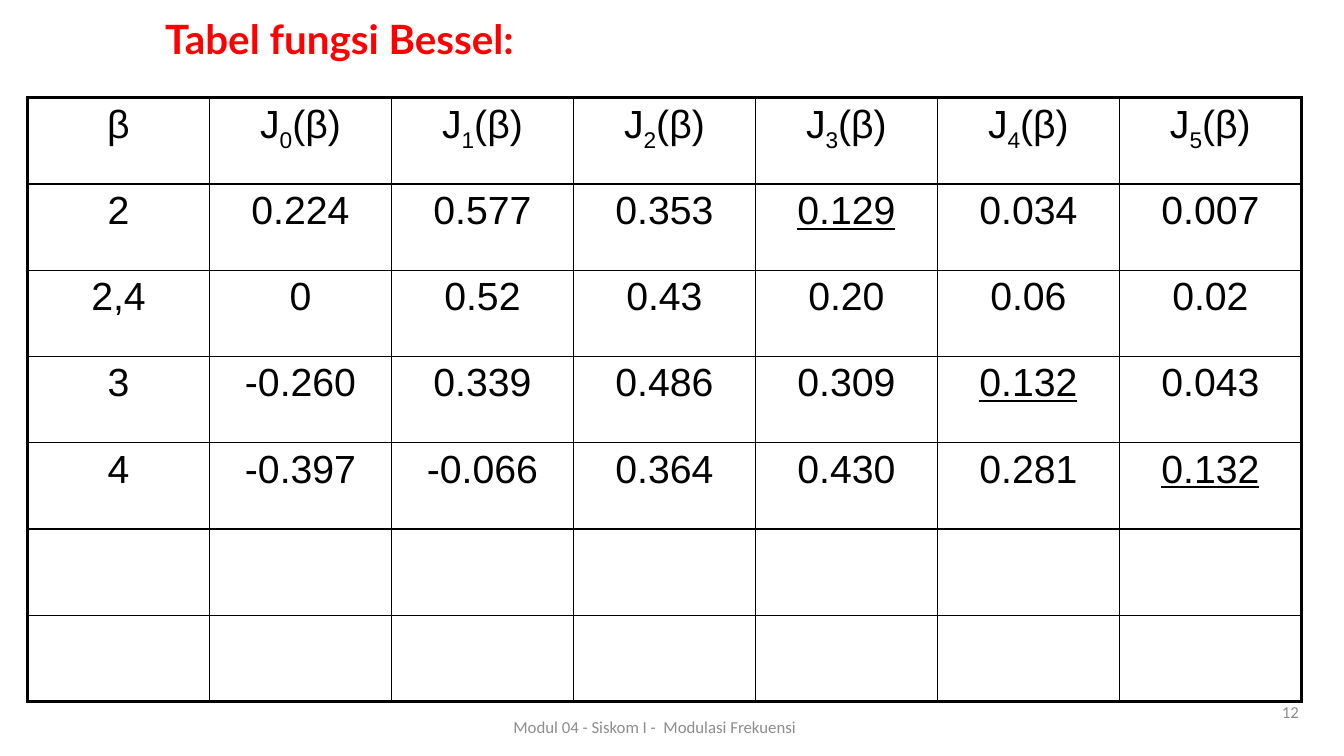
from lxml.etree import SubElement
from pptx import Presentation
from pptx.dml.color import RGBColor
from pptx.enum.shapes import MSO_SHAPE as Preset
from pptx.enum.text import MSO_ANCHOR as Anchor, PP_ALIGN as Align
from pptx.oxml.ns import qn
from pptx.util import Inches, Pt

COLORS = {"title": "FF0000", "footer": "8C8C8C", "ink": "000000", "paper": "FFFFFF"}
ROWS, COLUMNS = 7, 7
THIN, THICK = 1, 2.25

bessel_values = [
    ["2", "0.224", "0.577", "0.353", "0.129", "0.034", "0.007"],
    ["2,4", "0", "0.52", "0.43", "0.20", "0.06", "0.02"],
    ["3", "-0.260", "0.339", "0.486", "0.309", "0.132", "0.043"],
    ["4", "-0.397", "-0.066", "0.364", "0.430", "0.281", "0.132"],
]
underlined_cells = {(1, 4), (3, 5), (4, 6)}


def style_paragraph(paragraph, size, font_name, color, align):
    paragraph.alignment = align
    paragraph.font.size = Pt(size)
    paragraph.font.name = font_name
    paragraph.font.color.rgb = RGBColor.from_string(COLORS[color])


def add_border(cell, side, width):
    line = SubElement(cell._tc.get_or_add_tcPr(), qn(f"a:ln{side}"), w=str(Pt(width)))
    fill = SubElement(line, qn("a:solidFill"))
    SubElement(fill, qn("a:srgbClr"), val=COLORS["ink"])


presentation = Presentation()
presentation.slide_width = Inches(13.33)
presentation.slide_height = Inches(7.5)
slide = presentation.slides.add_slide(presentation.slide_layouts[6])

corner_panel = slide.shapes.add_shape(
    Preset.RECTANGLE, Inches(11.87), Inches(0), Inches(1.46), Inches(1.13)
)
corner_panel.shadow.inherit = False
corner_panel.fill.solid()
corner_panel.fill.fore_color.rgb = RGBColor.from_string(COLORS["paper"])
corner_panel.line.color.rgb = RGBColor.from_string(COLORS["paper"])
corner_panel.line.width = Pt(0.75)

labels = [
    ("Modul 04 - Siskom I -  Modulasi Frekuensi", (1.35, 7.04, 10.29, 0.34),
     12, "Calibri", "footer", Align.CENTER),
    ("12", (11.99, 6.81, 0.99, 0.5), 12, "Calibri", "footer", Align.RIGHT),
    ("Tabel fungsi Bessel:", (1.54, 0.19, 10.45, 0.45), 28.8, "Lato", "title", Align.LEFT),
]
for text, box, size, font_name, color, align in labels:
    text_box = slide.shapes.add_textbox(*[Inches(length) for length in box])
    text_frame = text_box.text_frame
    text_frame.word_wrap = True
    text_frame.vertical_anchor = Anchor.MIDDLE
    paragraph = text_frame.paragraphs[0]
    paragraph.text = text
    style_paragraph(paragraph, size, font_name, color, align)
    if color == "title":
        paragraph.font.bold = True
        paragraph.line_spacing = 0.9

table = slide.shapes.add_table(
    ROWS, COLUMNS, Inches(0.27), Inches(0.97), Inches(12.63), Inches(5.99)
).table
table.first_row = False
table.horz_banding = False
for index, column in enumerate(table.columns):
    column.width = Inches(1.8 if index % 2 else 1.81)

for row in range(ROWS):
    for column in range(COLUMNS):
        cell = table.cell(row, column)
        cell.margin_left = cell.margin_right = Inches(0.13)
        cell.margin_top = cell.margin_bottom = Inches(0.05)
        add_border(cell, "L", THICK if column == 0 else THIN)
        add_border(cell, "R", THICK if column == COLUMNS - 1 else THIN)
        add_border(cell, "T", THICK if row == 0 else THIN)
        add_border(cell, "B", THICK if row == ROWS - 1 else THIN)
        cell.fill.solid()
        cell.fill.fore_color.rgb = RGBColor.from_string(COLORS["paper"])

        paragraph = cell.text_frame.paragraphs[0]
        style_paragraph(paragraph, 28, "Arial", "ink", Align.CENTER)
        if row == 0 and column == 0:
            paragraph.add_run().text = "β"
        elif row == 0:
            for text in ("J", str(column - 1), "(β)"):
                run = paragraph.add_run()
                run.text = text
                if text.isdigit():
                    run._r.get_or_add_rPr().set("baseline", "-25000")
        elif row <= len(bessel_values):
            run = paragraph.add_run()
            run.text = bessel_values[row - 1][column]
            if (row, column) in underlined_cells:
                run.font.underline = True

presentation.save("out.pptx")
